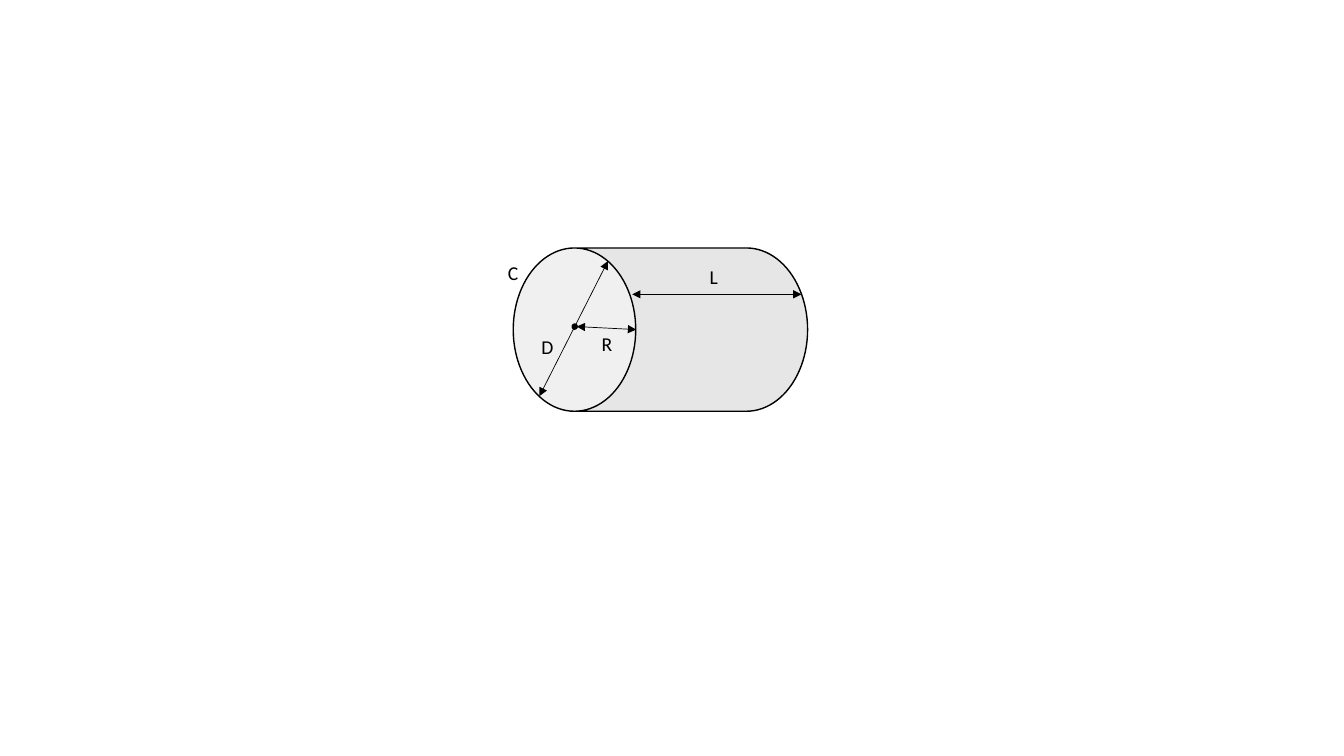
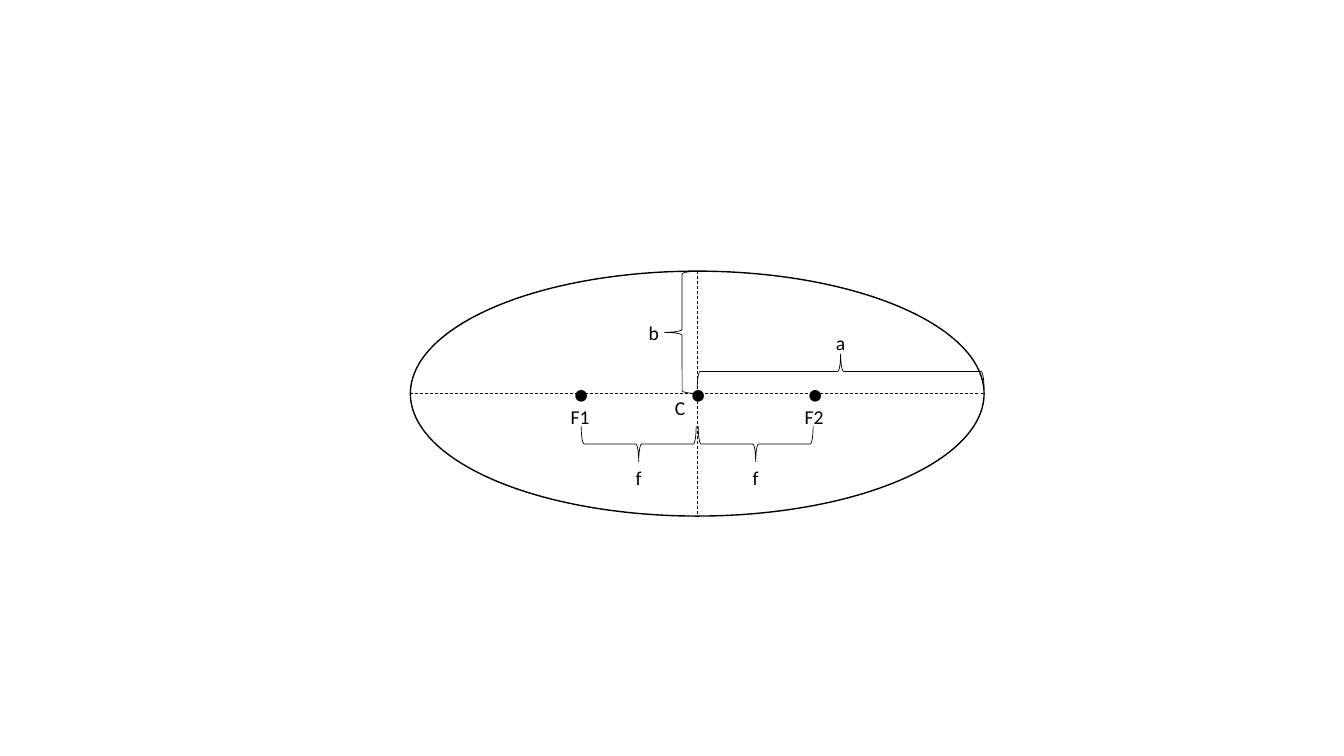
"""Build two geometry diagrams: a cylinder and an ellipse."""
from dataclasses import dataclass

from lxml.etree import SubElement
from pptx import Presentation
from pptx.dml.color import RGBColor
from pptx.enum.dml import MSO_LINE
from pptx.enum.shapes import MSO_CONNECTOR, MSO_SHAPE
from pptx.enum.text import MSO_AUTO_SIZE, PP_ALIGN
from pptx.oxml.ns import qn
from pptx.util import Inches, Pt


@dataclass(frozen=True)
class Theme:
    ink: RGBColor = RGBColor(0x00, 0x00, 0x00)
    body: RGBColor = RGBColor(0xE7, 0xE6, 0xE6)
    font: str = "Calibri"
    label_size: float = 14
    dot_size: float = 18
    outline: float = 1
    thin: float = 0.5


THEME = Theme()
BLANK_LAYOUT = 6


def add_figure(slide, kind, center, size, fill=None, weight=THEME.outline, rotation=0):
    (x, y), (width, height) = center, size
    shape = slide.shapes.add_shape(
        kind, Inches(x - width / 2), Inches(y - height / 2), Inches(width), Inches(height)
    )
    shape.shadow.inherit = False
    shape.rotation = rotation
    if fill is None:
        shape.fill.background()
    else:
        shape.fill.solid()
        shape.fill.fore_color.rgb = fill
    shape.line.color.rgb = THEME.ink
    shape.line.width = Pt(weight)
    return shape


def add_brace(slide, center, length, rotation=0):
    add_figure(slide, MSO_SHAPE.LEFT_BRACE, center, (0.35, length),
               weight=THEME.thin, rotation=rotation)


def add_line(slide, start, end, arrows=False):
    connector = slide.shapes.add_connector(
        MSO_CONNECTOR.STRAIGHT, *(Inches(value) for value in (*start, *end))
    )
    connector.line.color.rgb = THEME.ink
    connector.line.width = Pt(THEME.thin)
    if arrows:
        outline = connector.line._get_or_add_ln()
        for tag in ("a:headEnd", "a:tailEnd"):
            SubElement(outline, qn(tag), type="triangle")
    else:
        connector.line.dash_style = MSO_LINE.DASH
    SubElement(connector._element.spPr, qn("a:effectLst"))


def add_label(slide, text, center, size=THEME.label_size):
    x, y = center
    width, height = 0.4, 0.4 if size == THEME.dot_size else 0.34
    box = slide.shapes.add_textbox(
        Inches(x - width / 2), Inches(y - height / 2), Inches(width), Inches(height)
    )
    frame = box.text_frame
    frame.word_wrap = False
    frame.auto_size = MSO_AUTO_SIZE.SHAPE_TO_FIT_TEXT
    paragraph = frame.paragraphs[0]
    paragraph.text = text
    paragraph.alignment = PP_ALIGN.CENTER
    paragraph.font.name = THEME.font
    paragraph.font.size = Pt(size)
    paragraph.font.color.rgb = THEME.ink


def add_cylinder(slide):
    can = add_figure(slide, MSO_SHAPE.CAN, (6.55, 3.27), (1.62, 2.92),
                     fill=THEME.body, rotation=270)
    can.adjustments[0] = 0.75
    radius = ((5.72, 3.24), (6.31, 3.27))
    diameter = ((6.03, 2.59), (5.35, 3.93))
    length = ((6.27, 2.92), (7.95, 2.92))
    for start, end in (radius, diameter, length):
        add_line(slide, start, end, arrows=True)
    labels = {"R": (6.02, 3.41), "D": (5.43, 3.44), "C": (5.09, 2.71), "L": (7.08, 2.75)}
    for text, center in labels.items():
        add_label(slide, text, center)
    add_figure(slide, MSO_SHAPE.OVAL, (5.7, 3.24), (0.05, 0.05), fill=THEME.ink)


def add_ellipse(slide):
    left, top, width, height = 4.07, 2.69, 5.69, 2.43
    x, y = left + width / 2, top + height / 2
    focus = 1.16
    add_figure(slide, MSO_SHAPE.OVAL, (x, y), (width, height))
    add_line(slide, (left, y), (left + width, y))
    add_line(slide, (x, top), (x, top + height))

    for offset in (-focus, 0, focus):
        add_label(slide, "●", (x + 0.01 + offset, y), THEME.dot_size)
    add_label(slide, "C", (x - 0.17, y + 0.14))

    for name, side in (("F1", -1), ("F2", 1)):
        add_label(slide, name, (x + side * focus, y + 0.23))
        middle = x + side * focus / 2
        add_brace(slide, (middle, y + 0.5), 1.14, rotation=270)
        add_label(slide, "f", (middle, y + 0.84))

    add_brace(slide, (x - 0.15, y - height / 4), height / 2)
    add_label(slide, "b", (x - 0.43, y - 0.6))
    add_brace(slide, (x + width / 4, y - 0.22), width / 2, rotation=90)
    add_label(slide, "a", (x + width / 4, y - 0.5))


def main():
    presentation = Presentation()
    presentation.slide_width = Inches(13.33)
    presentation.slide_height = Inches(7.5)
    for draw in (add_cylinder, add_ellipse):
        draw(presentation.slides.add_slide(presentation.slide_layouts[BLANK_LAYOUT]))
    presentation.save("out.pptx")


if __name__ == "__main__":
    main()
